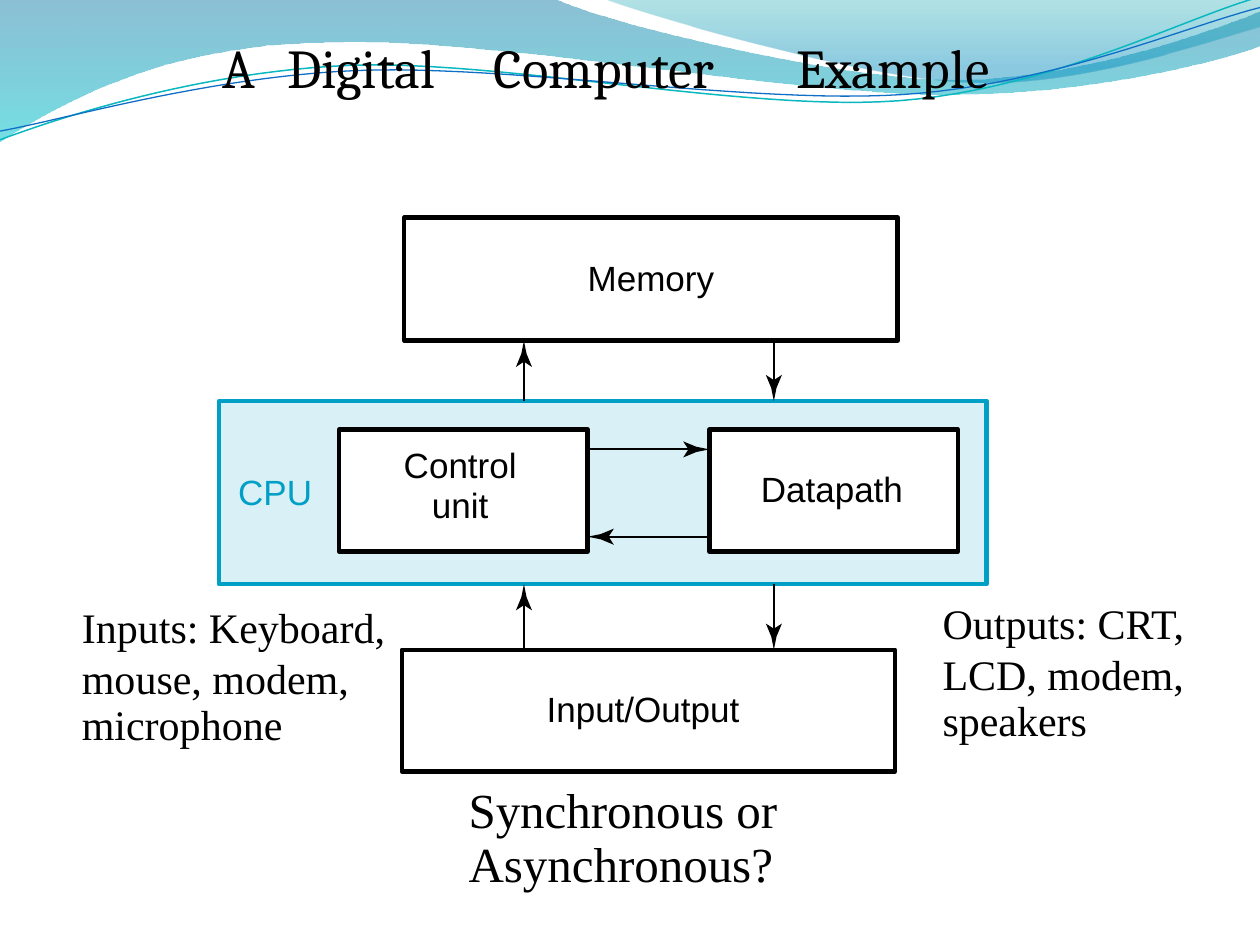
from dataclasses import dataclass
from math import atan2, cos, hypot, sin

from lxml.etree import SubElement
from pptx import Presentation
from pptx.dml.color import RGBColor
from pptx.enum.shapes import MSO_CONNECTOR as CONN, MSO_SHAPE as SHAPE
from pptx.enum.text import MSO_ANCHOR as ANCHOR, PP_ALIGN as ALIGN
from pptx.oxml.ns import qn
from pptx.util import Pt

COLORS = {
    "black": "000000", "white": "FFFFFF", "cpu_fill": "D9F0F7", "cpu_line": "009FC5",
    "deep": "0074A1", "cyan": "00C6CF", "teal": "00A1A9", "sky": "008BBF",
    "swoosh_teal": "0AB8BF", "swoosh_blue": "0F6FC6",
}
Point = tuple[float, float]


@dataclass
class Box:
    x: float
    y: float
    w: float
    h: float
    lines: tuple[str, ...] = ()
    fill: str = "white"
    line: str = "black"
    shift: float = 0  # moves the label left
    lift: float = 0  # moves the label up

    @property
    def right(self) -> float:
        return self.x + self.w

    @property
    def bottom(self) -> float:
        return self.y + self.h


@dataclass
class Label:
    x: float
    y: float
    w: float
    h: float
    lines: tuple[str, ...]
    font: str
    size: float
    leading: float
    gaps: tuple[float, ...]
    color: str = "black"
    baseline: int = 0


@dataclass
class Wave:
    start: Point
    segments: list[tuple[Point, ...]]  # one point: line, three points: Bézier curve
    stops: tuple[tuple[float, str, int], ...] = ()  # position, colour, opacity %
    line: str = ""
    width: float = 0


def rgb(name: str) -> RGBColor:
    return RGBColor.from_string(COLORS[name])


def outline(slide, points: list[Point], close: bool):
    pts = [(Pt(x), Pt(y)) for x, y in points]
    fb = slide.shapes.build_freeform(*pts[0], scale=1.0)
    fb.add_line_segments(pts[1:], close=close)
    sp = fb.convert_to_shape()
    sp.shadow.inherit = False
    return sp


def trace(wave: Wave, steps: int = 24) -> list[Point]:
    pts = [wave.start]
    for seg in wave.segments:
        if len(seg) == 1:
            pts.append(seg[0])
            continue
        ctrl = (pts[-1], *seg)
        for i in range(1, steps + 1):
            t = i / steps
            weights = ((1 - t) ** 3, 3 * t * (1 - t) ** 2, 3 * t * t * (1 - t), t ** 3)
            pts.append(tuple(sum(k * c[a] for k, c in zip(weights, ctrl)) for a in (0, 1)))
    return pts


def draw_wave(slide, wave: Wave) -> None:
    sp = outline(slide, trace(wave), close=bool(wave.stops))
    if not wave.stops:
        sp.fill.background()
        sp.line.color.rgb = rgb(wave.line)
        sp.line.width = Pt(wave.width)
        return
    sp.line.fill.background()
    sp.fill.gradient()
    sp.fill.gradient_angle = 270
    for stop, (pos, color, _) in zip(sp.fill.gradient_stops, wave.stops):
        stop.position = pos
        stop.color.rgb = rgb(color)
    for clr, (_, _, opacity) in zip(sp._element.spPr.iter(qn("a:srgbClr")), wave.stops):
        SubElement(clr, qn("a:alpha"), val=str(opacity * 1000))


def draw_box(slide, box: Box) -> None:
    sp = slide.shapes.add_shape(SHAPE.RECTANGLE, Pt(box.x), Pt(box.y), Pt(box.w), Pt(box.h))
    sp.shadow.inherit = False
    sp.fill.solid()
    sp.fill.fore_color.rgb = rgb(box.fill)
    sp.line.color.rgb = rgb(box.line)
    sp.line.width = Pt(2.53)
    if not box.lines:
        return
    tf = sp.text_frame
    tf.vertical_anchor = ANCHOR.MIDDLE
    tf.margin_left = tf.margin_top = 0
    tf.margin_right, tf.margin_bottom = Pt(2 * box.shift), Pt(2 * box.lift)
    for i, line in enumerate(box.lines):
        p = tf.paragraphs[0] if i == 0 else tf.add_paragraph()
        p.add_run().text = line
        p.alignment = ALIGN.CENTER
        p.line_spacing = 0.96
        p.font.name, p.font.size = "Arial", Pt(20)
        p.font.color.rgb = rgb("black")


def draw_label(slide, label: Label) -> None:
    tb = slide.shapes.add_textbox(Pt(label.x), Pt(label.y), Pt(label.w), Pt(label.h))
    tf = tb.text_frame
    tf.word_wrap = True
    tf.margin_left = tf.margin_top = tf.margin_right = tf.margin_bottom = 0
    for i, (line, gap) in enumerate(zip(label.lines, label.gaps)):
        p = tf.paragraphs[0] if i == 0 else tf.add_paragraph()
        r = p.add_run()
        r.text = line
        p.line_spacing, p.space_before = Pt(label.leading), Pt(gap)
        p.font.name, p.font.size = label.font, Pt(label.size)
        p.font.color.rgb = rgb(label.color)
        if label.baseline:
            r._r.get_or_add_rPr().set("baseline", str(label.baseline))


def draw_arrow(slide, start: Point, tip: Point) -> None:
    (x0, y0), (x1, y1) = start, tip
    share = 1 - 11 / hypot(x1 - x0, y1 - y0)
    cn = slide.shapes.add_connector(CONN.STRAIGHT, Pt(x0), Pt(y0),
                                    Pt(x0 + (x1 - x0) * share), Pt(y0 + (y1 - y0) * share))
    cn.line.color.rgb = rgb("black")
    cn.line.width = Pt(1.15)
    SubElement(cn._element.spPr, qn("a:effectLst"))
    # Barbed head, given as distance behind the tip and offset from the axis
    head = [(0, 0), (7.5, 1.5), (15, 4.6), (12, 0), (15, -4.6), (7.5, -1.5)]
    a = atan2(y1 - y0, x1 - x0)
    sp = outline(slide, [(x1 - d * cos(a) - o * sin(a), y1 - d * sin(a) + o * cos(a))
                         for d, o in head], close=True)
    sp.fill.solid()
    sp.fill.fore_color.rgb = rgb("black")
    sp.line.fill.background()


WAVES = [
    Wave((0, -0.7), [((316.8, -0.7),),
                     ((342.7, 12.2), (478, 45.4), (545.8, 45.4)),
                     ((614.2, 45.4), (689.8, 18.7), (720, 6.5)),
                     ((720.7, 25.9),),
                     ((707.8, 31.7), (626.4, 54.7), (537.1, 54)),
                     ((447.8, 54), (275, 20.2), (185, 24.5)),
                     ((92.9, 25.2), (33.1, 59.8), (-0.7, 81.4))],
         stops=((0, "deep", 45), (1, "cyan", 55))),
    Wave((344.9, -0.7), [((366.5, 7.9), (491, 44.6), (553.7, 46.8)),
                         ((616.3, 49.7), (691.9, 23), (720, 15.1)),
                         ((720, 0),)],
         stops=((0, "teal", 30), (0.8, "sky", 45))),
    Wave((0, 79.9), [((34.6, 67), (113.8, 41), (199.4, 37.4)),
                     ((284.4, 33.8), (427, 64.1), (513.4, 57.6)),
                     ((599.8, 51.1), (675.4, 10.8), (718.6, -1.4))],
         line="swoosh_teal", width=0.85),
    Wave((0, 74.9), [((33.8, 69.1), (118.1, 43.9), (203.8, 40.3)),
                     ((290.2, 36.7), (429.8, 59.8), (516.2, 54)),
                     ((601.9, 48.2), (677.5, 15.1), (720, 4.3))],
         line="swoosh_blue", width=0.75),
]

MEMORY = Box(231, 124.4, 282, 70.3, ("Memory",))
CPU = Box(125.2, 229.2, 438.6, 104.6, fill="cpu_fill", line="cpu_line")
CONTROL = Box(193.8, 245.5, 142, 69.8, ("Control", "unit"), shift=1.8, lift=2.5)
DATAPATH = Box(405.4, 245.5, 142, 69.8, ("Datapath",), shift=1)
IN_OUT = Box(229.6, 371.3, 281.8, 69.6, ("Input/Output",), shift=3)

UP_X, DOWN_X = 299.4, 442.2
ARROWS = [
    ((UP_X, CPU.y), (UP_X, MEMORY.bottom)),
    ((DOWN_X, MEMORY.bottom), (DOWN_X, CPU.y)),
    ((UP_X, IN_OUT.y), (UP_X, CPU.bottom)),
    ((DOWN_X, CPU.bottom), (DOWN_X, IN_OUT.y)),
    ((CONTROL.right, 256.8), (DATAPATH.x, 256.8)),
    ((DATAPATH.x, 306.7), (CONTROL.right, 306.7)),
]

SERIF = "Times New Roman"
TITLE = [("A", 127.4, 35), ("Digital", 164.2, 117), ("Computer", 282.2, 171), ("Example", 455, 147)]
LABELS = [Label(x, 25.2, w, 38, (word,), "Cambria", 54, 38, (1.9,), baseline=3000)
          for word, x, w in TITLE] + [
    Label(136.1, 271.4, 48, 22, ("CPU",), "Arial", 20, 21.7, (1.1,), "cpu_line"),
    Label(538.6, 344.9, 150, 84, ("Outputs: CRT,", "LCD, modem,", "speakers"),
          SERIF, 24, 25.5, (1.3, 3.4, 1)),
    Label(46.8, 347, 180, 84, ("Inputs: Keyboard,", "mouse, modem,", "microphone"),
          SERIF, 24, 25.5, (1.3, 3.4, 1)),
    Label(267.8, 449.3, 185, 63, ("Synchronous or", "Asynchronous?"),
          SERIF, 28, 29.6, (1.5, 1.4)),
]


def main() -> None:
    prs = Presentation()
    prs.slide_width, prs.slide_height = Pt(720), Pt(540)
    s = prs.slides.add_slide(prs.slide_layouts[6])
    # Wave band behind the title
    for wave in WAVES:
        draw_wave(s, wave)
    # Block diagram
    for box in (MEMORY, CPU, CONTROL, DATAPATH, IN_OUT):
        draw_box(s, box)
    for start, tip in ARROWS:
        draw_arrow(s, start, tip)
    # Title and notes
    for label in LABELS:
        draw_label(s, label)
    prs.save("out.pptx")


if __name__ == "__main__":
    main()
